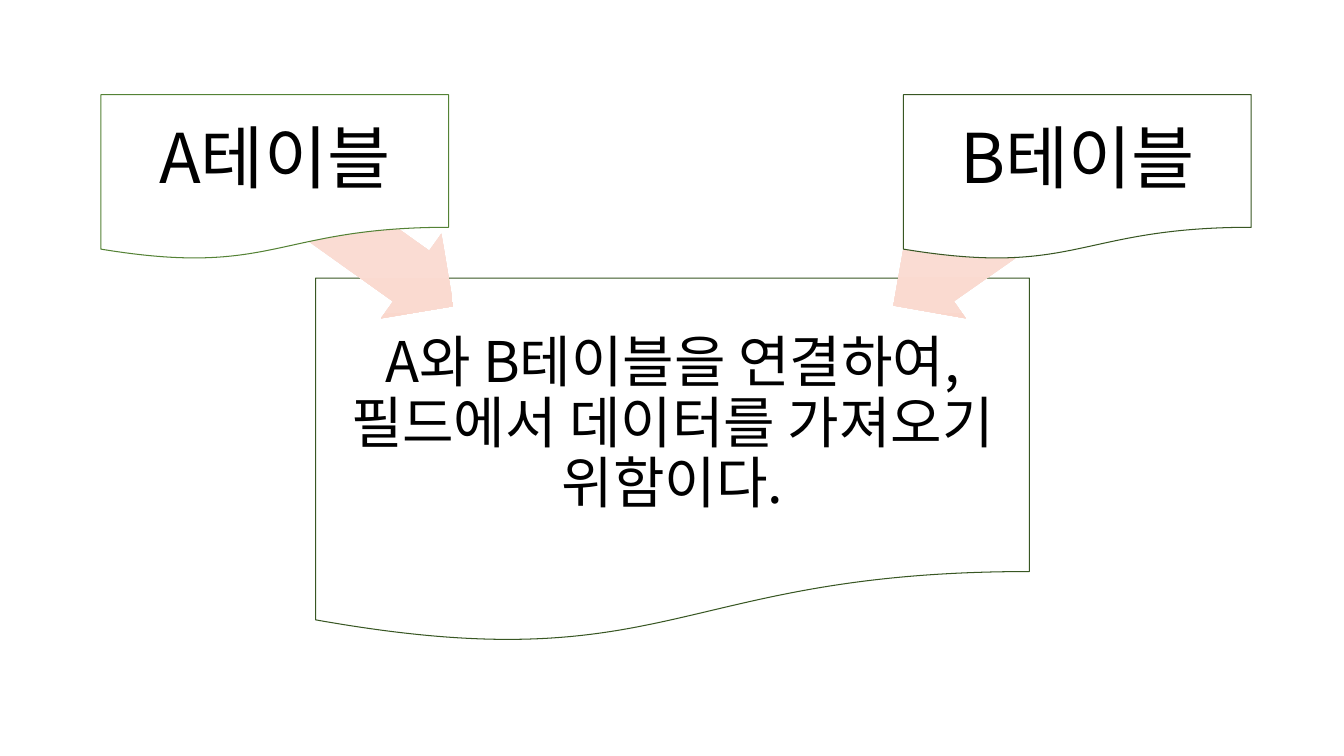
from pptx import Presentation
from pptx.dml.color import RGBColor
from pptx.enum.shapes import MSO_SHAPE
from pptx.enum.text import MSO_ANCHOR, PP_ALIGN
from pptx.oxml import parse_xml
from pptx.oxml.ns import nsdecls
from pptx.util import Pt

PX = 9144  # EMU, 100 px to the inch
FONT = "Noto Sans CJK KR"
WHITE = RGBColor(0xFF, 0xFF, 0xFF)
BLACK = RGBColor(0x00, 0x00, 0x00)
GREEN = RGBColor(0x54, 0x82, 0x35)
DARK_GREEN = RGBColor(0x38, 0x57, 0x23)
ARROW_STOPS = [
    (0, RGBColor(0xFC, 0xE8, 0xE2)),
    (50, RGBColor(0xFA, 0xDC, 0xD3)),
    (100, RGBColor(0xFA, 0xD7, 0xCC)),
]


def add_preset(page, kind, bounds):
    shape = page.shapes.add_shape(kind, *(length * PX for length in bounds))
    shape.shadow.inherit = False
    return shape


def add_document(page, bounds, text, size, line_color, inset):
    """Add a wavy-bottomed box with centred text."""
    box = add_preset(page, MSO_SHAPE.FLOWCHART_DOCUMENT, bounds)
    box.fill.solid()
    box.fill.fore_color.rgb = WHITE
    box.line.color.rgb = line_color
    box.line.width = Pt(0.75)

    frame = box.text_frame
    frame.word_wrap = True
    frame.vertical_anchor = MSO_ANCHOR.MIDDLE
    frame.margin_left = frame.margin_right = inset * PX
    frame.margin_top = frame.margin_bottom = inset * PX

    para = frame.paragraphs[0]
    para.alignment = PP_ALIGN.CENTER
    para.line_spacing = 0.9
    span = para.add_run()
    span.text = text
    span.font.size = Pt(size)
    span.font.name = FONT
    span.font.color.rgb = BLACK
    properties = span.font._element
    properties.append(parse_xml(f'<a:ea {nsdecls("a")} typeface="{FONT}"/>'))


def fill_downwards(shape, stops):
    """Fill with a top-to-bottom gradient that ignores the shape's rotation."""
    stop_xml = "".join(
        f'<a:gs pos="{percent * 1000}"><a:srgbClr val="{color}"/></a:gs>'
        for percent, color in stops
    )
    gradient = parse_xml(
        f'<a:gradFill {nsdecls("a")} rotWithShape="0"><a:gsLst>{stop_xml}</a:gsLst>'
        '<a:lin ang="5400000" scaled="0"/></a:gradFill>'
    )
    shape.fill.background()
    properties = shape._element.spPr
    properties.replace(properties.find("{*}noFill"), gradient)


def add_arrow(page, bounds, rotation):
    arrow = add_preset(page, MSO_SHAPE.LEFT_ARROW, bounds)
    arrow.adjustments[0] = 0.6
    arrow.adjustments[1] = 0.5
    arrow.rotation = rotation
    arrow.line.fill.background()
    fill_downwards(arrow, ARROW_STOPS)


def main():
    deck = Presentation()
    deck.slide_width = 1333 * PX
    deck.slide_height = 750 * PX
    page = deck.slides.add_slide(deck.slide_layouts[6])

    add_document(page, (313, 276, 708, 363),
                 "A와 B테이블을 연결하여, 필드에서 데이터를 가져오기 위함이다.",
                 40, DARK_GREEN, 3)
    add_arrow(page, (252, 189, 218, 103), 215.5)
    add_document(page, (100, 94, 345, 164), "A테이블", 49, GREEN, 10)
    add_arrow(page, (866, 188, 222, 103), 325)
    add_document(page, (896, 94, 345, 164), "B테이블", 49, DARK_GREEN, 10)

    deck.save("out.pptx")


if __name__ == "__main__":
    main()
